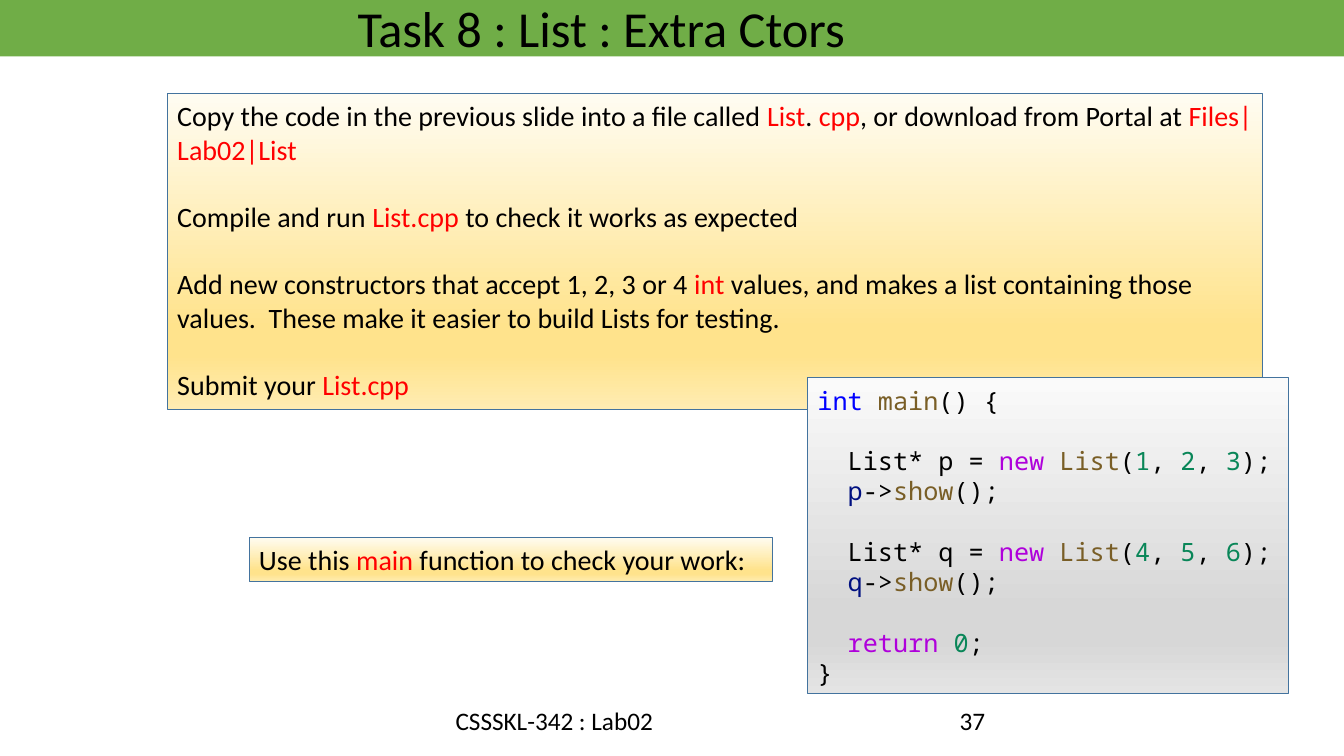
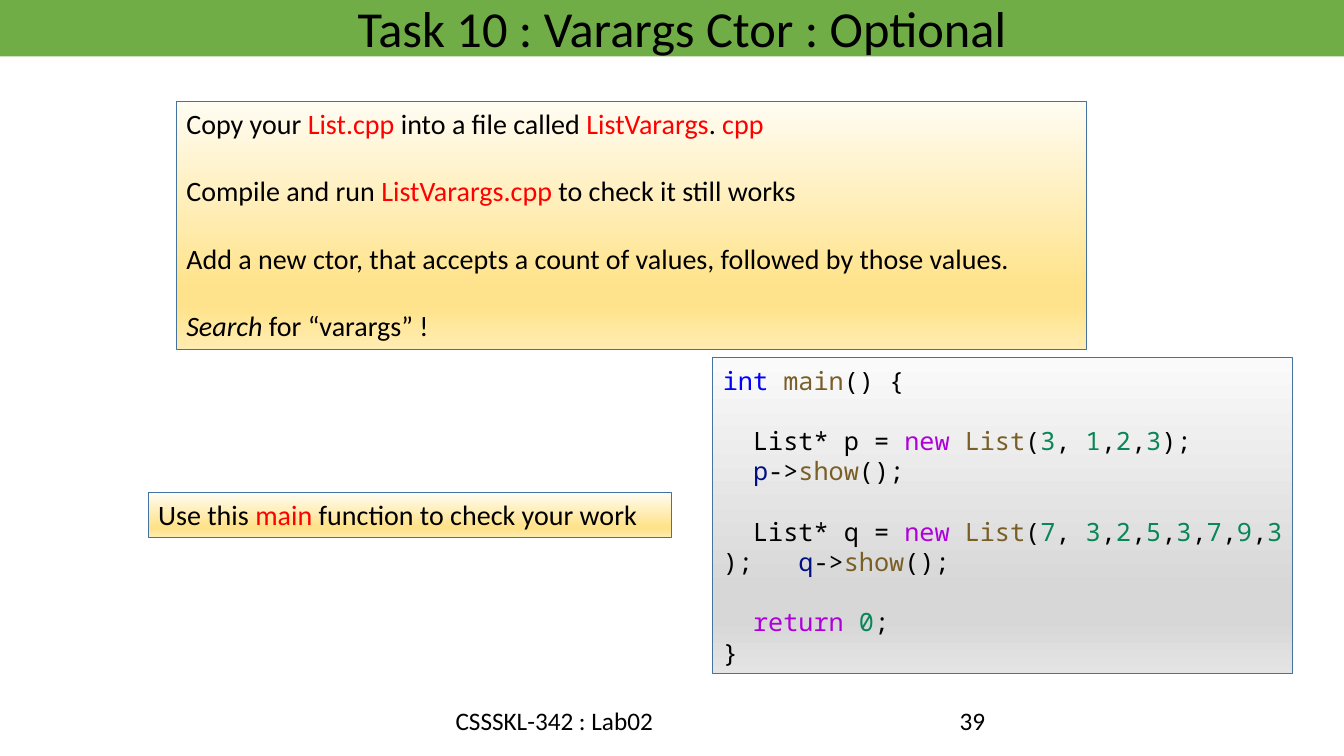
from copy import deepcopy
from itertools import groupby

from pptx import Presentation
from pptx.dml.color import RGBColor as Rgb
from pptx.enum.shapes import MSO_SHAPE as Shape
from pptx.enum.text import MSO_ANCHOR as Anchor, PP_ALIGN as Align
from pptx.oxml.ns import qn
from pptx.util import Inches, Pt

HUES = {
    "band": "70AD47", "edge": "43739E", "ink": "000000", "mark": "FF0000",
    "type": "0000FF", "func": "795E26", "flow": "AF00DB",
    "num": "098658", "var": "001080",
}
GOLD = ["FFFCF2", "FFE38C", "FFE38C", "FFECB2"]
GREY = ["FAFAFA", "D7D7D7", "D7D7D7", "E4E4E4"]
STOPS = [0, 0.74, 0.83, 1]
WORDS = {"int": "type", "new": "flow", "return": "flow"}
SANS, MONO = "Calibri", "Noto Sans Mono"


def hue(name):
    return Rgb.from_string(HUES[name])


def add_run(par, text, size, font=SANS, tint="ink", slant=False):
    run = par.add_run()
    run.text = text
    run.font.size = Pt(size)
    run.font.name = font
    run.font.color.rgb = hue(tint)
    if slant:
        run.font.italic = True


def next_par(frame, first):
    par = frame.paragraphs[0] if first else frame.add_paragraph()
    par.alignment = Align.LEFT
    return par


def add_label(slide, box, text, size):
    frame = slide.shapes.add_textbox(*map(Inches, box)).text_frame
    frame.word_wrap = True
    add_run(next_par(frame, True), text, size)


def add_panel(slide, box, ramp):
    panel = slide.shapes.add_shape(Shape.RECTANGLE, *map(Inches, box))
    panel.shadow.inherit = False
    panel.line.color.rgb = hue("edge")
    panel.line.width = Pt(0.75)
    panel.fill.gradient()
    panel.fill.gradient_angle = 270
    stops = panel.element.spPr.find(qn("a:gradFill")).find(qn("a:gsLst"))
    while len(stops) < len(ramp):
        stops.append(deepcopy(stops[0]))
    for stop, place, tint in zip(panel.fill.gradient_stops, STOPS, ramp):
        stop.position = place
        stop.color.rgb = Rgb.from_string(tint)
    frame = panel.text_frame
    frame.word_wrap = True
    frame.vertical_anchor = Anchor.TOP
    return frame


def add_prose(slide, box, lines):
    frame = add_panel(slide, box, GOLD)
    for row, line in enumerate(lines):
        par = next_par(frame, row == 0)
        if row:
            par.space_before = Pt(24)
        for index, part in enumerate(line.split("~")):
            for turn, text in enumerate(part.split("_")):
                if text:
                    tint = "mark" if index % 2 else "ink"
                    add_run(par, text, 20, tint=tint, slant=turn % 2 == 1)


def token_hue(word, after):
    if word.isdigit():
        return "num"
    if word in WORDS:
        return WORDS[word]
    if after.startswith("("):
        return "func"
    return "var" if after.startswith("->") else "ink"


def add_code(slide, box, code):
    frame = add_panel(slide, box, GREY)
    frame.margin_top = Inches(0.07)
    pitch = Pt(21.6)
    gap = False
    for row, line in enumerate(code.strip().split("\n")):
        if not line:
            gap = True
            continue
        par = next_par(frame, row == 0)
        par.line_spacing = pitch
        if gap:
            par.space_before = pitch
        gap = False
        fixed = line.replace(" ", chr(160))
        parts = ["".join(group) for _, group in groupby(fixed, str.isalnum)]
        for word, after in zip(parts, parts[1:] + [""]):
            add_run(par, word, 18, MONO, token_hue(word, after))


def add_frame(slide, title, number):
    band = slide.shapes.add_shape(
        Shape.RECTANGLE, 0, 0, Inches(13.33), Inches(0.56))
    band.shadow.inherit = False
    band.fill.solid()
    band.fill.fore_color.rgb = hue("band")
    band.line.fill.background()
    add_label(slide, (3.45, -0.08, 6.94, 0.71), title, 36)
    add_label(slide, (4.42, 6.95, 4.5, 0.4), "CSSSKL-342 : Lab02", 18)
    add_label(slide, (9.42, 6.95, 3, 0.4), str(number), 18)


def add_task(deck, title, number, steps, code, hint):
    slide = deck.slides.add_slide(deck.slide_layouts[6])
    add_frame(slide, title, number)
    add_prose(slide, *steps)
    add_code(slide, *code)
    add_prose(slide, *hint)


EXTRA = """
int main() {

  List* p = new List(1, 2, 3);
  p->show();

  List* q = new List(4, 5, 6);
  q->show();

  return 0;
}
"""

VARARGS = """
int main() {

  List* p = new List(3, 1,2,3);
  p->show();

  List* q = new List(7, 3,2,5,3,7,9,3);   q->show();

  return 0;
}
"""


def main():
    deck = Presentation()
    deck.slide_width, deck.slide_height = Inches(13.33), Inches(7.5)
    add_task(
        deck, "Task 8 : List : Extra Ctors", 37,
        ((1.66, 0.93, 10.86, 3.13), [
            "Copy the code in the previous slide into a file called ~List~. "
            "~cpp~, or download from Portal at~ Files|Lab02|List~",
            "Compile and run ~List.cpp~ to check it works as expected",
            "Add new constructors that accept 1, 2, 3 or 4 ~int~ values, and "
            "makes a list containing those values.  These make it easier to "
            "build Lists for testing.",
            "Submit your ~List.cpp~",
        ]),
        ((8.01, 3.75, 4.77, 3.13), EXTRA),
        ((2.47, 5.33, 5.19, 0.44),
         ["Use this ~main~ function to check your work:"]))
    add_task(
        deck, "Task 10 : Varargs Ctor : Optional", 39,
        ((1.75, 1.01, 9.03, 2.46), [
            "Copy your ~List.cpp~ into a file called ~ListVarargs~. ~cpp~",
            "Compile and run ~ListVarargs.cpp~ to check it still works",
            "Add a new ctor, that accepts a count of values, followed by "
            "those values.",
            "_Search _for “varargs” !",
        ]),
        ((7.07, 3.55, 5.75, 3.13), VARARGS),
        ((1.47, 4.89, 5.19, 0.44),
         ["Use this ~main~ function to check your work"]))
    deck.save("out.pptx")


if __name__ == "__main__":
    main()
